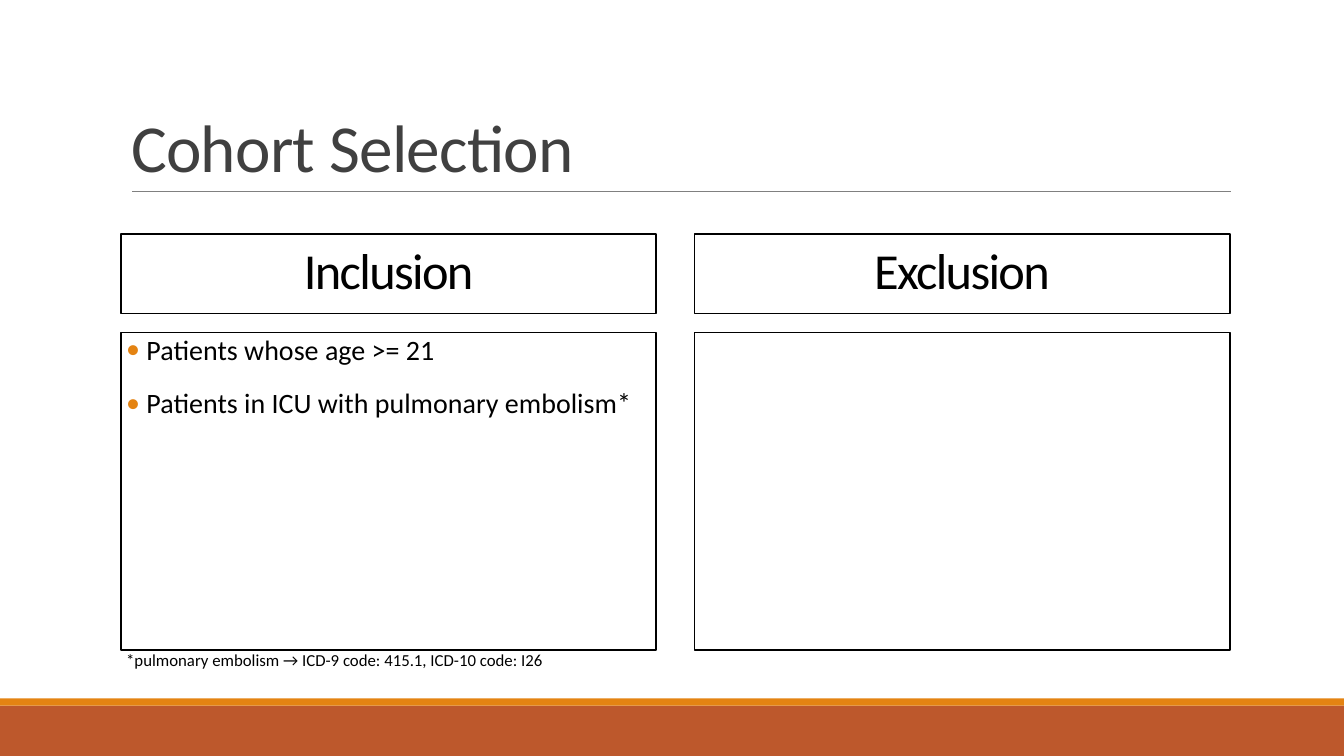
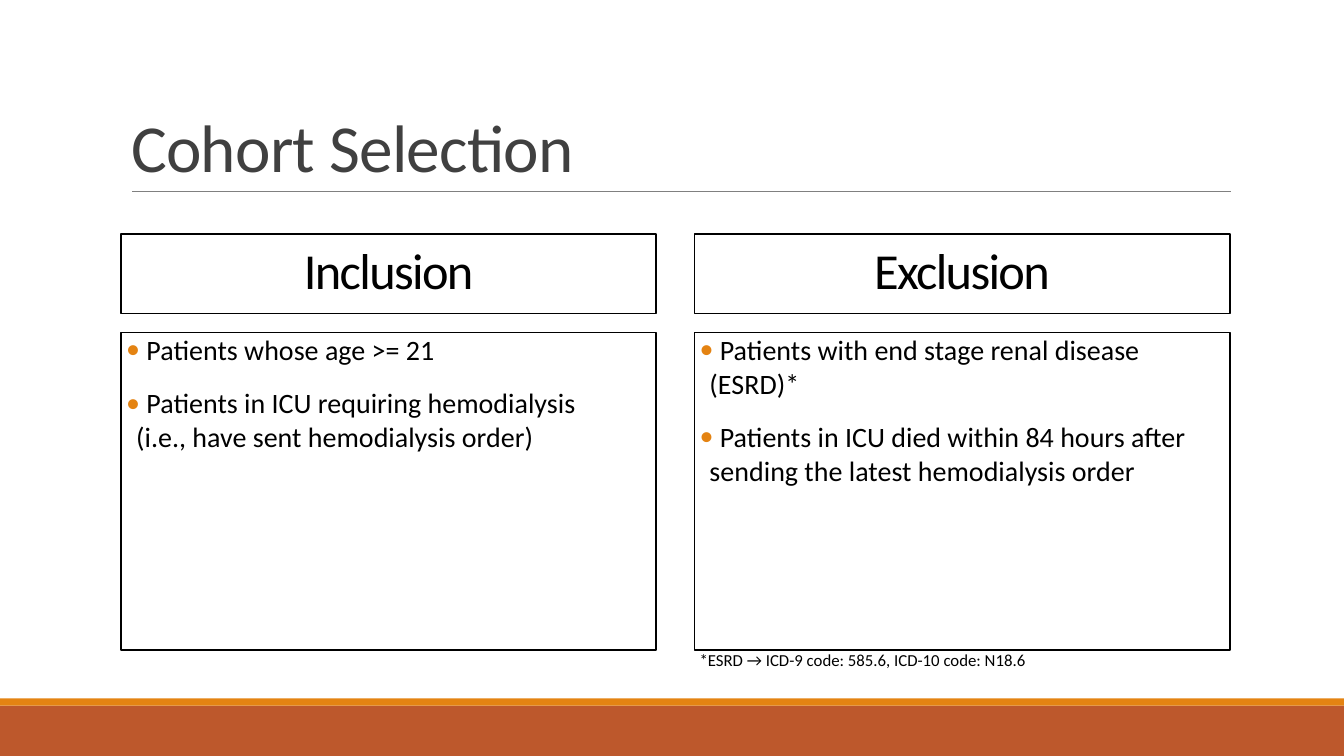
"""Build two cohort selection slides with inclusion and exclusion criteria."""
from pptx import Presentation
from pptx.dml.color import RGBColor
from pptx.enum.shapes import MSO_CONNECTOR as Connector, MSO_SHAPE as Shape
from pptx.enum.text import MSO_ANCHOR as Anchor, MSO_AUTO_SIZE as AutoSize, PP_ALIGN as Align
from pptx.oxml import parse_xml
from pptx.oxml.ns import nsdecls
from pptx.util import Cm, Pt

FONT = "Calibri"
BLACK = RGBColor(0x00, 0x00, 0x00)
WHITE = RGBColor(0xFF, 0xFF, 0xFF)
TITLE_GRAY = RGBColor(0x40, 0x40, 0x40)
RULE_GRAY = RGBColor(0x80, 0x80, 0x80)
ORANGE = RGBColor(0xE4, 0x83, 0x12)
RUST = RGBColor(0xBD, 0x58, 0x2C)

TITLE = "Cohort Selection"
HEADINGS = ("Inclusion", "Exclusion")
SLIDES = [
    {
        "criteria": (
            [" Patients whose age >= 21", " Patients in ICU with pulmonary embolism*"],
            [],
        ),
        "note": "*pulmonary embolism → ICD-9 code: 415.1, ICD-10 code: I26",
        "note_column": 0,
    },
    {
        "criteria": (
            [
                " Patients whose age >= 21",
                " Patients in ICU requiring hemodialysis\v(i.e., have sent hemodialysis order)",
            ],
            [
                " Patients with end stage renal disease (ESRD)*",
                " Patients in ICU died within 84 hours after sending the latest hemodialysis order",
            ],
        ),
        "note": "*ESRD → ICD-9 code: 585.6, ICD-10 code: N18.6",
        "note_column": 1,
    },
]

SLIDE_WIDTH, SLIDE_HEIGHT = Cm(33.87), Cm(19.05)
LEFT, CONTENT_WIDTH = Cm(3.05), Cm(27.94)
COLUMN_WIDTH = Cm(13.49)
COLUMN_LEFTS = (LEFT, LEFT + CONTENT_WIDTH - COLUMN_WIDTH)
TITLE_TOP, TITLE_HEIGHT = Cm(0.79), Cm(4.04)
HEADING_TOP, HEADING_HEIGHT = Cm(5.89), Cm(2.01)
LIST_TOP, LIST_HEIGHT = Cm(8.38), Cm(8)
NOTE_HEIGHT = Cm(0.99)
BAND_HEIGHT, STRIPE_HEIGHT = Cm(1.27), Cm(0.18)
RULE_LEFT, RULE_RIGHT, RULE_TOP = Cm(3.33), Cm(31.01), Cm(4.83)
SIDE_INSET, BULLET_INDENT = Cm(0.13), Cm(0.25)
LAYOUT_SHAPE_ID = 20


def place(shape, left, top, width, height):
    shape.left, shape.top, shape.width, shape.height = left, top, width, height


def add_bullet(paragraph):
    properties = paragraph._p.get_or_add_pPr()
    properties.set("marL", str(BULLET_INDENT))
    properties.set("indent", str(-BULLET_INDENT))
    for xml in (
        f'<a:buClr {nsdecls("a")}><a:srgbClr val="{ORANGE}"/></a:buClr>',
        f'<a:buFont {nsdecls("a")} typeface="{FONT}"/>',
        f'<a:buChar {nsdecls("a")} char="•"/>',
    ):
        properties.append(parse_xml(xml))


def write(shape, lines, size, color=BLACK, align=Align.LEFT, anchor=Anchor.TOP,
          line_spacing=1.0, before=0, after=0, tracking=0, bullet=False, inset=None):
    frame = shape.text_frame
    frame.text = "\n".join(lines)
    frame.word_wrap = True
    frame.auto_size = AutoSize.NONE
    frame.vertical_anchor = anchor
    if inset is not None:
        frame.margin_left = frame.margin_right = inset
        frame.margin_top = frame.margin_bottom = 0
    for paragraph in frame.paragraphs:
        paragraph.alignment = align
        paragraph.line_spacing = line_spacing
        paragraph.space_before, paragraph.space_after = Pt(before), Pt(after)
        if bullet:
            add_bullet(paragraph)
        for run in paragraph.runs:
            font = run.font
            font.name, font.size, font.bold = FONT, Pt(size), False
            font.color.rgb = color
            if tracking:
                run._r.get_or_add_rPr().set("spc", str(round(tracking * 100)))


def outline(shape):
    shape.fill.solid()
    shape.fill.fore_color.rgb = WHITE
    shape.line.color.rgb = BLACK
    shape.line.width = Pt(1.25)


def add_band(slide, top, height, color):
    band = slide.shapes.add_shape(Shape.RECTANGLE, 0, top, SLIDE_WIDTH, height)
    band.shadow.inherit = False
    band.fill.solid()
    band.fill.fore_color.rgb = color
    band.line.fill.background()
    return band


def add_rule(slide):
    rule = slide.shapes.add_connector(
        Connector.STRAIGHT, RULE_LEFT, RULE_TOP, RULE_RIGHT, RULE_TOP)
    rule.line.color.rgb = RULE_GRAY
    rule.line.width = Pt(0.5)
    rule.element.spPr.append(parse_xml(f'<a:effectLst {nsdecls("a")}/>'))
    return rule


def decorate_layout(layout, slide):
    band_top = SLIDE_HEIGHT - BAND_HEIGHT
    decorations = (
        add_band(slide, band_top, BAND_HEIGHT, RUST),
        add_band(slide, band_top - STRIPE_HEIGHT, STRIPE_HEIGHT, ORANGE),
        add_rule(slide),
    )
    for number, shape in enumerate(decorations):
        shape.element.xpath(".//p:cNvPr")[0].set("id", str(LAYOUT_SHAPE_ID + number))
        layout.shapes.element.insert(2 + number, shape.element)


def arrange_layout(layout):
    places = {0: (LEFT, TITLE_TOP, CONTENT_WIDTH, TITLE_HEIGHT)}
    for column, left in enumerate(COLUMN_LEFTS):
        places[2 * column + 1] = (left, HEADING_TOP, COLUMN_WIDTH, HEADING_HEIGHT)
        places[2 * column + 2] = (left, LIST_TOP, COLUMN_WIDTH, LIST_HEIGHT)
    for placeholder in layout.placeholders:
        index = placeholder.placeholder_format.idx
        if index in places:
            place(placeholder, *places[index])


def fill_column(slide, column, criteria):
    heading = slide.placeholders[2 * column + 1]
    outline(heading)
    write(heading, [HEADINGS[column]], 36, align=Align.CENTER, anchor=Anchor.MIDDLE,
          line_spacing=0.85, tracking=-1.2)
    box = slide.placeholders[2 * column + 2]
    if criteria:
        write(box, criteria, 20, before=12, after=2, bullet=True, inset=SIDE_INSET)
    else:
        box.element.getparent().remove(box.element)
        box = slide.shapes.add_shape(
            Shape.RECTANGLE, COLUMN_LEFTS[column], LIST_TOP, COLUMN_WIDTH, LIST_HEIGHT)
        box.shadow.inherit = False
    outline(box)


def fill_slide(slide, content):
    write(slide.shapes.title, [TITLE], 48, color=TITLE_GRAY, anchor=Anchor.BOTTOM,
          line_spacing=0.85, tracking=-0.5)
    for column, criteria in enumerate(content["criteria"]):
        fill_column(slide, column, criteria)
    note = slide.shapes.add_textbox(
        COLUMN_LEFTS[content["note_column"]], LIST_TOP + LIST_HEIGHT, COLUMN_WIDTH, NOTE_HEIGHT)
    write(note, [content["note"]], 12, inset=SIDE_INSET)


def main():
    presentation = Presentation()
    presentation.slide_width, presentation.slide_height = SLIDE_WIDTH, SLIDE_HEIGHT
    layout = presentation.slide_layouts.get_by_name("Comparison")
    arrange_layout(layout)
    slides = [presentation.slides.add_slide(layout) for _ in SLIDES]
    decorate_layout(layout, slides[0])
    for slide, content in zip(slides, SLIDES):
        fill_slide(slide, content)
    presentation.save("out.pptx")


if __name__ == "__main__":
    main()
